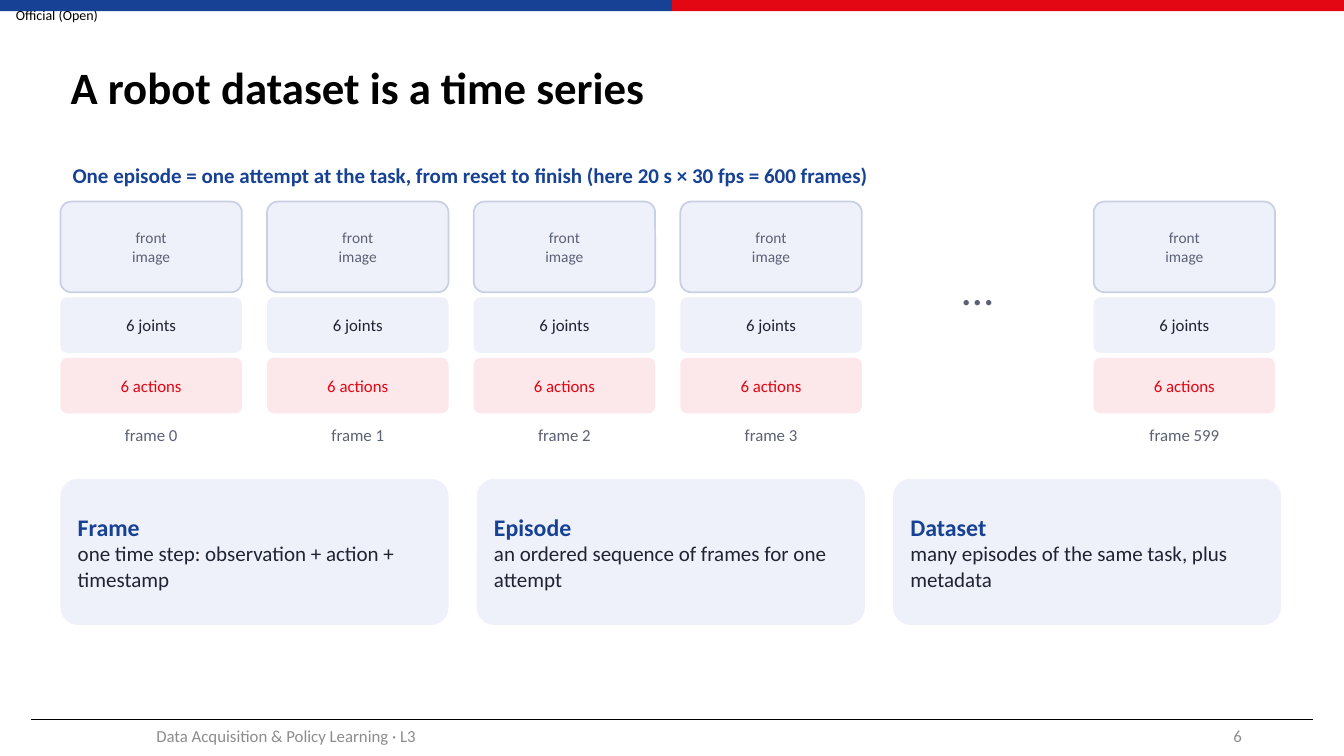
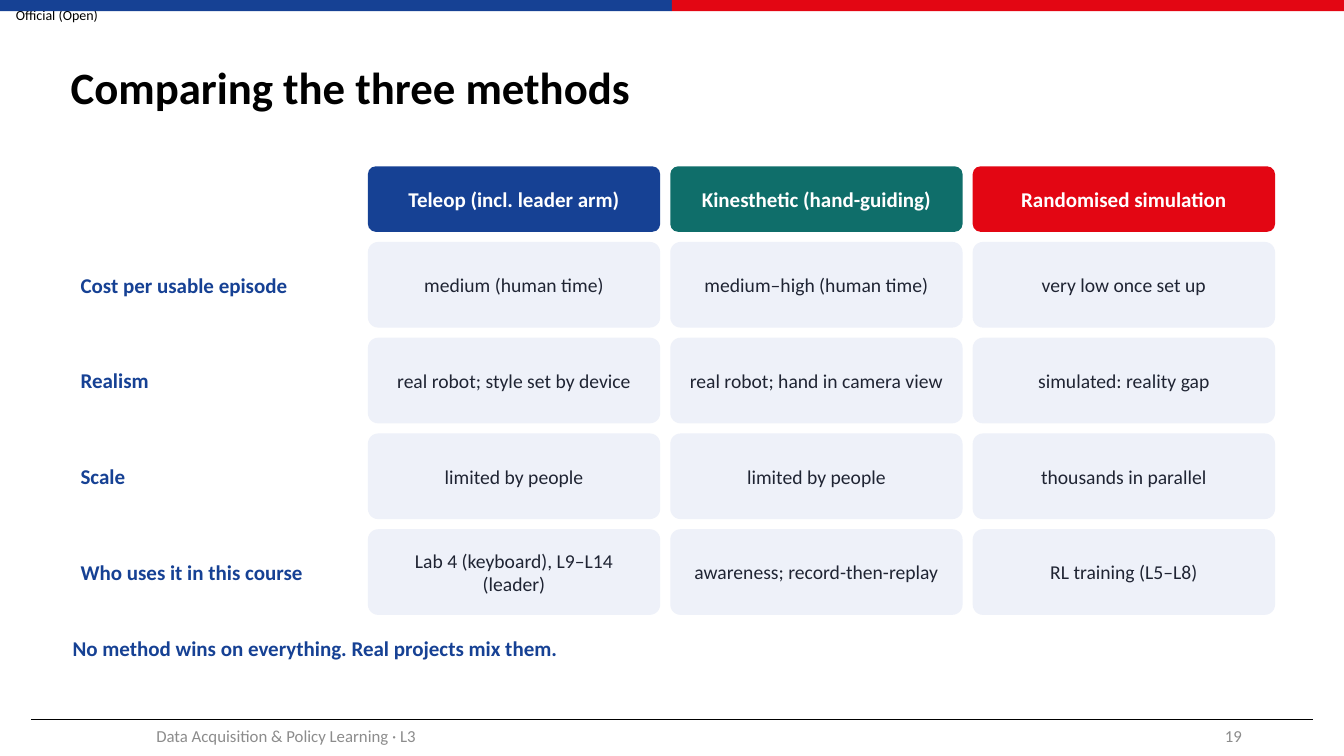
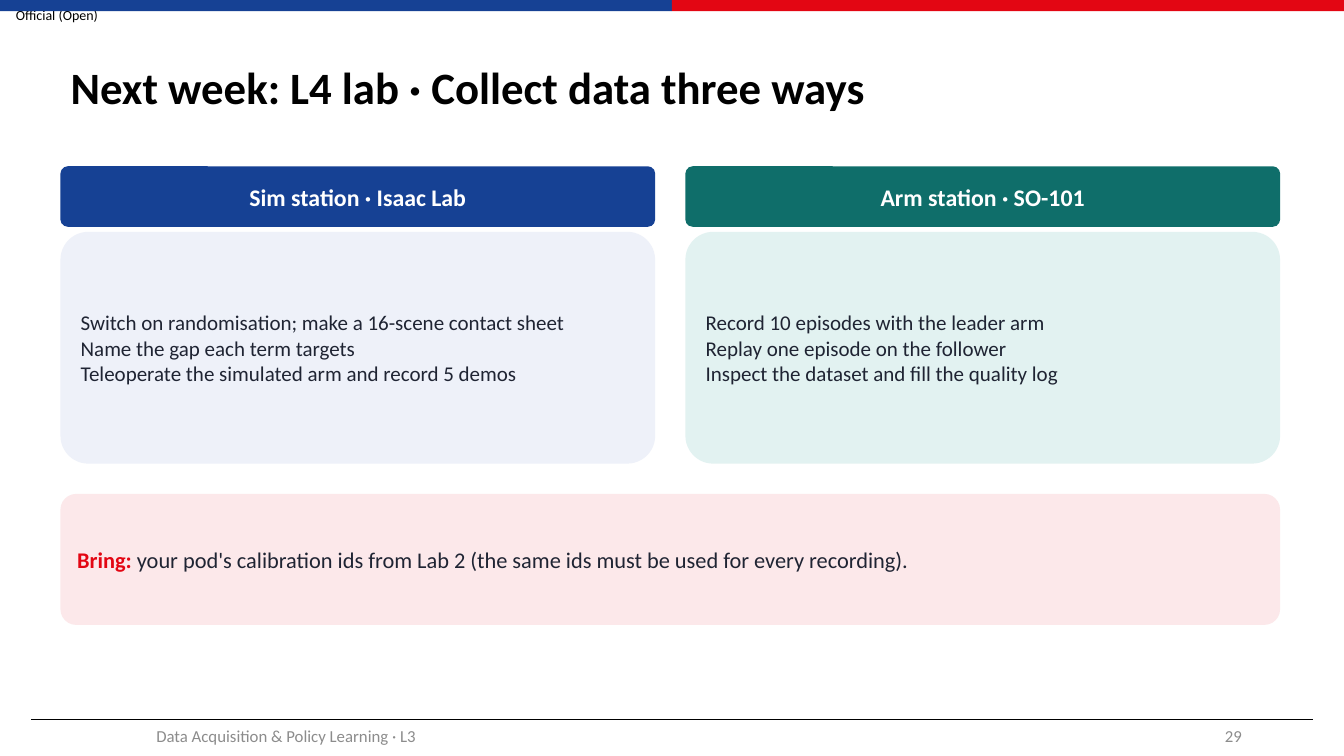
from lxml import etree
from pptx import Presentation
from pptx import util as u
from pptx.dml import color as c
from pptx.enum import shapes, text

Pt = u.Pt
FONT = "Calibri"
HUES = {
    "blue": "164194", "red": "E30613", "teal": "0F6E6A", "black": "000000",
    "white": "FFFFFF", "ink": "1F2433", "slate": "5B6275", "grey": "8C8C8C",
    "pale": "EEF1F9", "edge": "C9D0E3", "pink": "FCE8EA", "mint": "E2F2F1",
}
LEFT, MID, RIGHT = text.PP_ALIGN.LEFT, text.PP_ALIGN.CENTER, text.PP_ALIGN.RIGHT
TOP, CORE = text.MSO_ANCHOR.TOP, text.MSO_ANCHOR.MIDDLE
PAD = (8.64, 4.32)
EDGE, WIDE = 43.2, 871.2


def hue(name):
    """Return the named colour."""
    return c.RGBColor.from_string(HUES[name])


def write(frame, paras, align=LEFT, anchor=CORE, pad=PAD):
    """Fill a text frame with paragraphs of (text, size, colour, bold) runs."""
    frame.word_wrap = True
    frame.vertical_anchor = anchor
    frame.margin_left = frame.margin_right = Pt(pad[0])
    frame.margin_top = frame.margin_bottom = Pt(pad[1])
    for i, runs in enumerate(paras):
        para = frame.add_paragraph() if i else frame.paragraphs[0]
        para.alignment = align
        for words, size, tint, bold in runs:
            run = para.add_run()
            run.text = words
            run.font.name = FONT
            run.font.size = Pt(size)
            run.font.bold = bold
            run.font.color.rgb = hue(tint)


def label(slide, box, words, size, tint, bold=False, **style):
    """Add a line of plain text."""
    item = slide.shapes.add_textbox(*map(Pt, box))
    write(item.text_frame, [[(words, size, tint, bold)]], **style)


def block(slide, box, fill=None, line=None, kind=shapes.MSO_SHAPE.ROUNDED_RECTANGLE):
    """Add a flat shape and return its text frame."""
    item = slide.shapes.add_shape(kind, *map(Pt, box))
    item.shadow.inherit = False
    if len(item.adjustments):
        item.adjustments[0] = 0.12
    if fill:
        item.fill.solid()
        item.fill.fore_color.rgb = hue(fill)
    else:
        item.fill.background()
    if line:
        item.line.color.rgb = hue(line)
        item.line.width = Pt(1.25)
    else:
        item.line.fill.background()
    return item.text_frame


def base(deck, title, number):
    """Add a slide with the shared bands, title and footer."""
    slide = deck.slides.add_slide(deck.slide_layouts[5])
    label(slide, (0, 0, 81.36, 20.88), "Official (Open)", 10, "black", align=MID, pad=(0, 0))
    for i, tint in enumerate(("blue", "red")):
        block(slide, (480 * i, 0, 480, 7.92), tint, kind=shapes.MSO_SHAPE.RECTANGLE)
    rule = slide.shapes.add_connector(
        shapes.MSO_CONNECTOR.STRAIGHT, *map(Pt, (22.32, 514.08, 938.16, 514.08)))
    rule.line.color.rgb = hue("black")
    rule.line.width = Pt(0.5)
    etree.SubElement(
        rule._element.spPr, "{http://schemas.openxmlformats.org/drawingml/2006/main}effectLst")
    head = slide.shapes.title
    head.left, head.top, head.width, head.height = map(Pt, (EDGE, 21.6, 869.76, 84.96))
    write(head.text_frame, [[(title, 32, "black", True)]], pad=(7.2, 3.6))
    head.text_frame.paragraphs[0].line_spacing = 0.9
    label(slide, (42.48, 511.2, 324, 28.8), "Data Acquisition & Policy Learning · L3",
          12, "grey", align=MID, pad=(7.2, 3.6))
    label(slide, (678.24, 511.2, 216, 28.8), str(number), 12, "grey", align=RIGHT, pad=(7.2, 3.6))
    return slide


def note(slide, top, words):
    """Add a full-width blue remark."""
    label(slide, (EDGE, top, WIDE, 28.8), words, 15, "blue", True, anchor=TOP)


def stack(slide, x, y, wide, name):
    """Draw one frame: image, joints, actions and its name."""
    image = [[(word, 11, "slate", False)] for word in ("front", "image")]
    write(block(slide, (x, y, wide, 64.8), "pale", "edge"), image, MID)
    rows = (("6 joints", "pale", "ink"), ("6 actions", "pink", "red"))
    for i, (words, fill, tint) in enumerate(rows):
        cell = block(slide, (x, y + 68.4 + 43.2 * i, wide, 39.6), fill)
        write(cell, [[(words, 12, tint, False)]], MID)
    label(slide, (x, y + 154.8, wide, 28.8), name, 12, "slate", align=MID, anchor=TOP)


def strip(slide, x, y, names):
    """Lay frames out in a row, with an ellipsis where the name is None."""
    wide, step = 129.6, 147.6
    for i, name in enumerate(names):
        left = x + step * i
        if name:
            stack(slide, left, y, wide, name)
        else:
            label(slide, (left, y + 18, wide, 86.4), "…", 32, "slate", align=MID)


def cards(slide, x, y, terms):
    """Lay out a row of term cards."""
    wide, gap = 277.2, 20.16
    for i, (term, sense) in enumerate(terms):
        frame = block(slide, (x + (wide + gap) * i, y, wide, 104.4), "pale")
        write(frame, [[(term, 17, "blue", True)], [(sense, 15, "ink", False)]])


def grid(slide, x, y, heads, rows):
    """Draw the comparison grid: coloured heads, row names and cells."""
    gap, tall, wides = 7.2, 61.2, (208.8, 208.8, 208.8, 216)
    lefts = [x + sum(wides[:i]) + gap * i for i in range(len(wides))]
    for left, wide, (words, fill) in zip(lefts[1:], wides[1:], heads):
        write(block(slide, (left, y, wide, 46.8), fill), [[(words, 15, "white", True)]], MID)
    for i, row in enumerate(rows):
        top = y + 54 + (tall + gap) * i
        for j, words in enumerate(row):
            frame = block(slide, (lefts[j], top, wides[j], tall), "pale" if j else None)
            run = (words, 14, "ink", False) if j else (words, 15, "blue", True)
            write(frame, [[run]], MID if j else LEFT)


def station(slide, x, y, head, fill, pale, tasks):
    """Draw a station: a heading bar over its tasks."""
    wide = 424.8
    write(block(slide, (x, y, wide, 43.2), fill), [[(head, 17, "white", True)]], MID)
    write(block(slide, (x, y + 46.8, wide, 165.6), pale),
          [[(task, 15, "ink", False)] for task in tasks])


def series(deck):
    """Build the time series slide."""
    slide = base(deck, "A robot dataset is a time series", 6)
    strip(slide, EDGE, 144, ("frame 0", "frame 1", "frame 2", "frame 3", None, "frame 599"))
    note(slide, 111.6,
         "One episode = one attempt at the task, from reset to finish (here 20 s × 30 fps = 600 frames)")
    cards(slide, EDGE, 342, (
        ("Frame", "one time step: observation + action + timestamp"),
        ("Episode", "an ordered sequence of frames for one attempt"),
        ("Dataset", "many episodes of the same task, plus metadata"),
    ))


def compare(deck):
    """Build the comparison slide."""
    slide = base(deck, "Comparing the three methods", 19)
    heads = (("Teleop (incl. leader arm)", "blue"), ("Kinesthetic (hand-guiding)", "teal"),
             ("Randomised simulation", "red"))
    grid(slide, 46.8, 118.8, heads, (
        ("Cost per usable episode", "medium (human time)", "medium–high (human time)",
         "very low once set up"),
        ("Realism", "real robot; style set by device", "real robot; hand in camera view",
         "simulated: reality gap"),
        ("Scale", "limited by people", "limited by people", "thousands in parallel"),
        ("Who uses it in this course", "Lab 4 (keyboard), L9–L14 (leader)",
         "awareness; record-then-replay", "RL training (L5–L8)"),
    ))
    note(slide, 450, "No method wins on everything. Real projects mix them.")


def agenda(deck):
    """Build the next week slide."""
    slide = base(deck, "Next week: L4 lab · Collect data three ways", 29)
    station(slide, EDGE, 118.8, "Sim station · Isaac Lab", "blue", "pale", (
        "Switch on randomisation; make a 16-scene contact sheet",
        "Name the gap each term targets",
        "Teleoperate the simulated arm and record 5 demos",
    ))
    station(slide, 489.6, 118.8, "Arm station · SO-101", "teal", "mint", (
        "Record 10 episodes with the leader arm",
        "Replay one episode on the follower",
        "Inspect the dataset and fill the quality log",
    ))
    write(block(slide, (EDGE, 352.8, WIDE, 93.6), "pink"), [[
        ("Bring: ", 16, "red", True),
        ("your pod's calibration ids from Lab 2 (the same ids must be used for every recording).",
         16, "ink", False),
    ]])


def main():
    """Build and save the deck."""
    deck = Presentation()
    deck.slide_width, deck.slide_height = Pt(960), Pt(540)
    for build in (series, compare, agenda):
        build(deck)
    deck.save("out.pptx")


if __name__ == "__main__":
    main()
